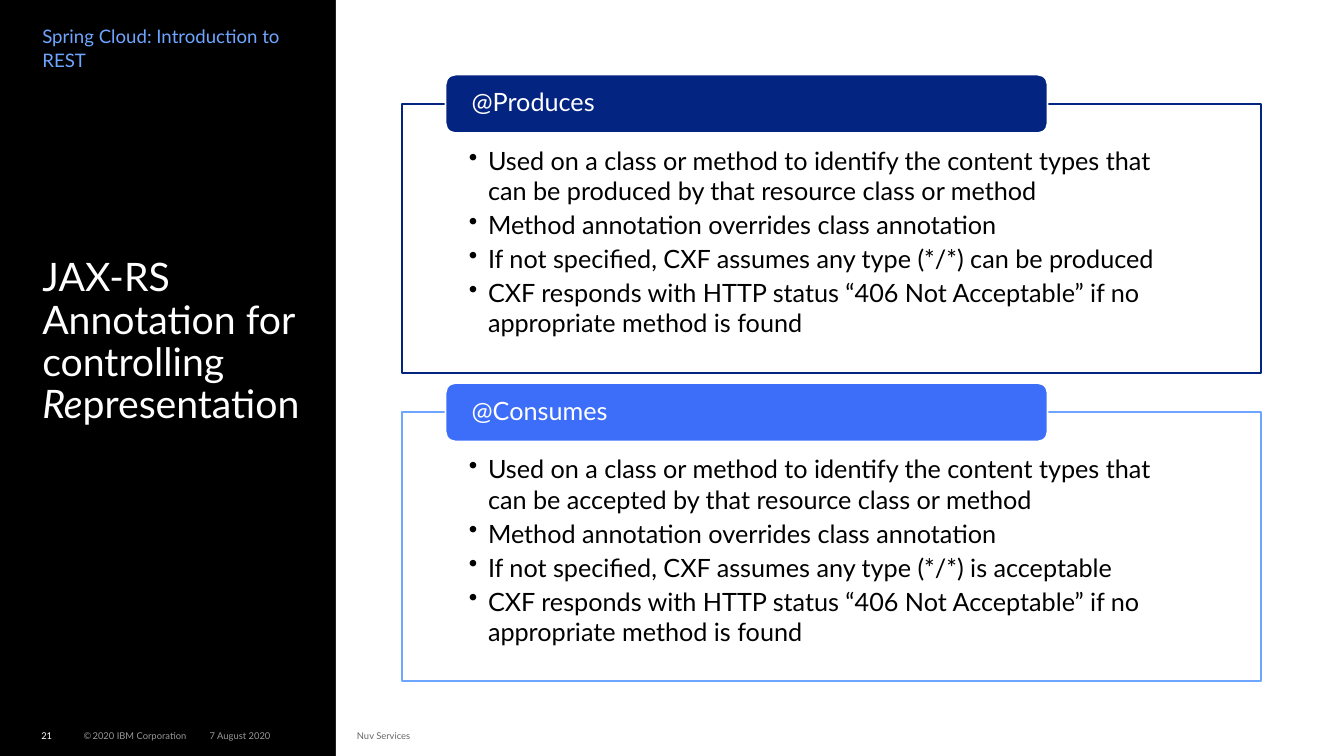
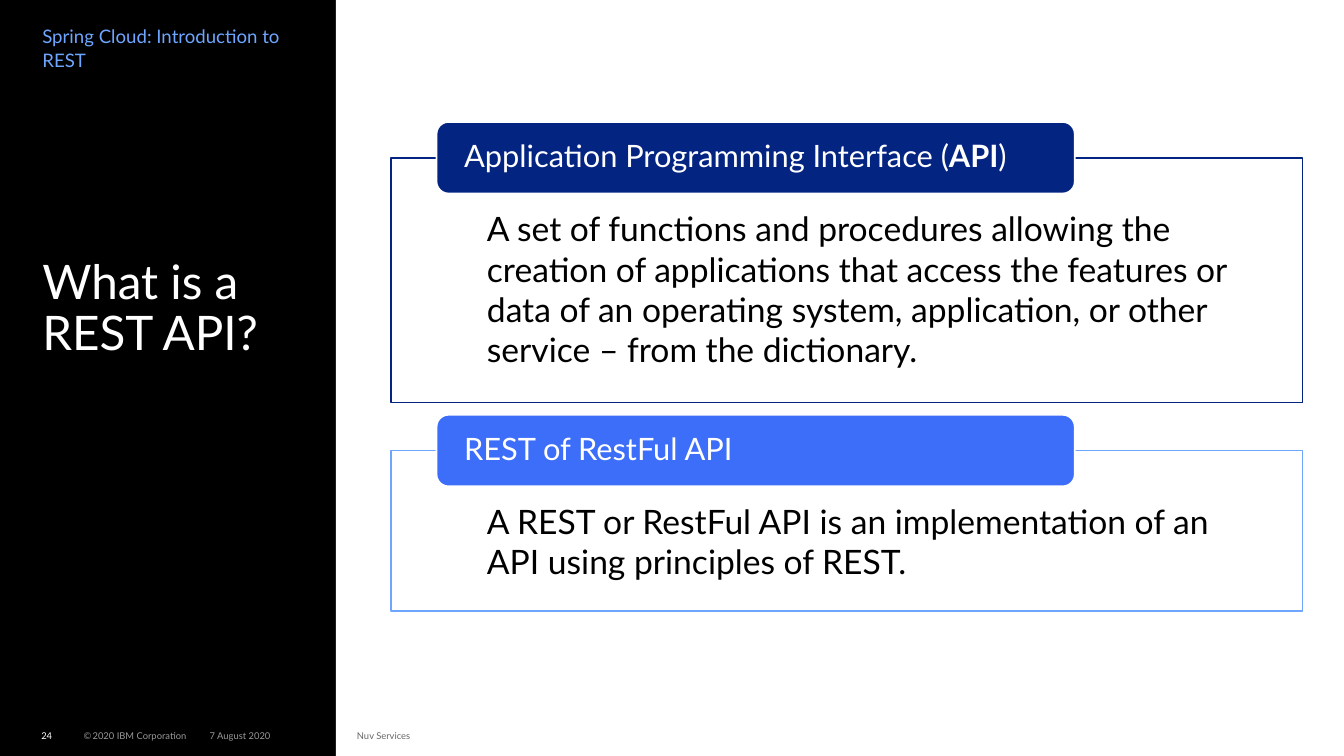
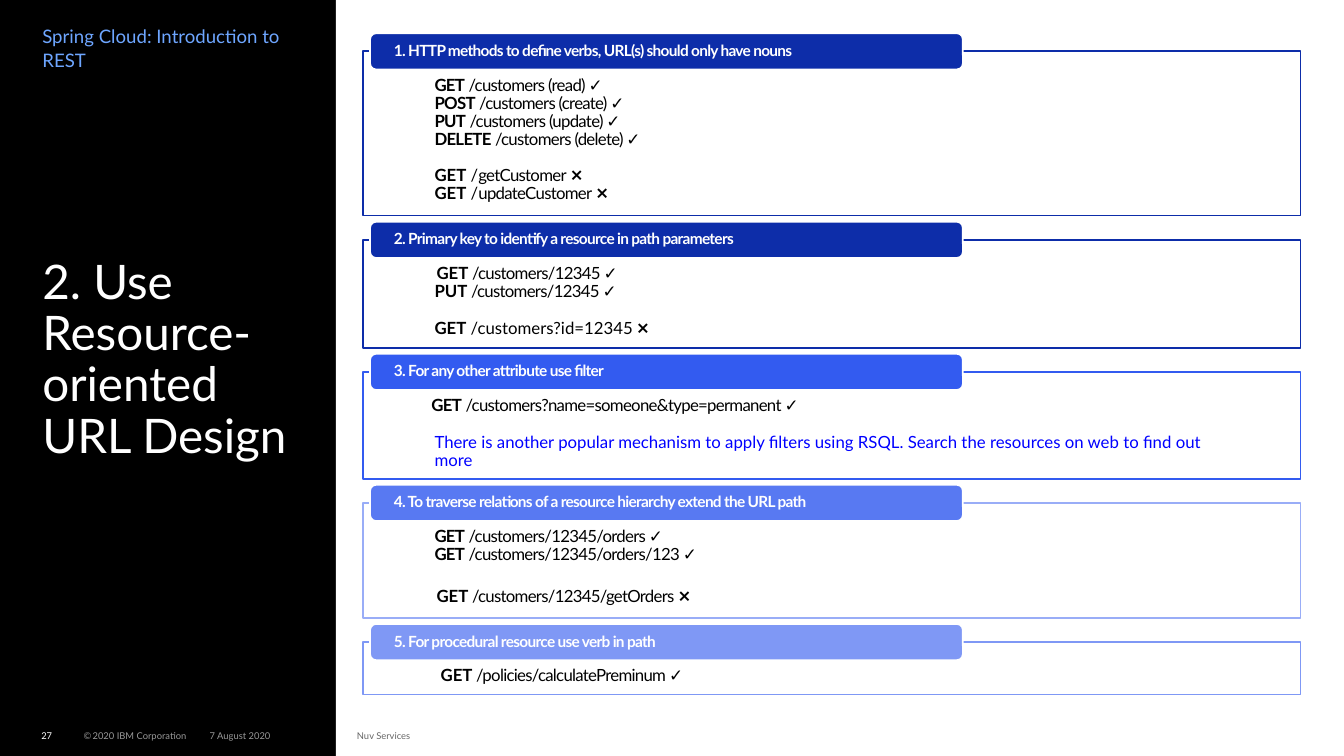
import pptx
import pptx.util
import pptx.dml.color
import pptx.enum.shapes
import pptx.enum.text
import pptx.oxml

Inches, Pt = pptx.util.Inches, pptx.util.Pt
RGB = pptx.dml.color.RGBColor
KINDS = pptx.enum.shapes.MSO_SHAPE
ANCHOR = pptx.enum.text.MSO_ANCHOR
ALIGN = pptx.enum.text.PP_ALIGN

# Shared look
WIDE, HIGH = 13.33, 7.5
SIDE = WIDE / 4
FONT = "Lato"
BLACK, WHITE = RGB(0, 0, 0), RGB(255, 255, 255)
PALE, DIM = RGB(0x99, 0x99, 0x99), RGB(0x66, 0x66, 0x66)
SKY, LINK = RGB(0x6E, 0xA6, 0xFF), RGB(0, 0, 255)
NAVY, BLUE = RGB(0x04, 0x24, 0x82), RGB(0x3D, 0x6E, 0xF9)
DEEP, ROYAL = RGB(0x0D, 0x2D, 0xA9), RGB(0x33, 0x5B, 0xF0)
MID, SOFT = RGB(0x58, 0x79, 0xF2), RGB(0x7F, 0x98, 0xF5)
MIST = RGB(0x99, 0xAD, 0xF7)

TOPIC = "Spring Cloud: Introduction to REST"
# Footer parts: left, width, colour, runs
FEET = [
    (0.83, 1.2, PALE, [("©", 6.7), (" ", 3.3), ("2020 IBM Corporation", 6.7)]),
    (2.08, 1.15, PALE, [("7 August 2020", 6.7)]),
    (3.54, 2.08, DIM, [("Nuv Services", 6.7)]),
]


# Text is lists of runs (text, style); b bold, i italic, t tight, u link blue.
# A line is (runs, indent, space before).
def line(*runs, shift=0.0, gap=0):
    return runs, shift, gap


def plain(*texts):
    return [line((text, "")) for text in texts]


def call(verb, rest, style="t", **place):
    return line((verb, "b" + style), (" " + rest, "t"), **place)


def wrong(name, gap=0):
    return line(("GET", "b"), (" /", ""), (name, "t"), (" ❌", ""), gap=gap)


def rules(verb, end):
    return plain(
        "Used on a class or method to identify the content types that "
        f"can be {verb} by that resource class or method",
        "Method annotation overrides class annotation",
        f"If not specified, CXF assumes any type (*/*) {end}",
        "CXF responds with HTTP status “406 Not Acceptable” if no "
        "appropriate method is found")


# Panels: height, tag fill, border, tag runs, body lines
SLIDES = [
    dict(
        page="21", size=28,
        title=[("JAX-RS Annotation for controlling ", ""), ("Re", "i"),
               ("presentation", "")],
        left=3.99, top=0.74, width=8.52, gap=0.1, inset=(0.66, 0.41),
        tag=dict(shift=0.43, width=5.97, height=0.58, inset=0.23,
                 size=18, style=""),
        body=dict(size=18, indent=0.19, bullet=True, after=2.7),
        panels=[
            (2.67, NAVY, NAVY, [("@Produces", "")],
             rules("produced", "can be produced")),
            (2.67, BLUE, SKY, [("@Consumes", "")],
             rules("accepted", "is acceptable")),
        ]),
    dict(
        page="24", size=34, title=[("What is a REST API?", "")],
        left=3.88, top=1.21, width=9.04, gap=0.12, inset=(0.7, 0.5),
        tag=dict(shift=0.45, width=6.33, height=0.71, inset=0.24,
                 size=22, style=""),
        body=dict(size=24, indent=0.25),
        panels=[
            (2.43, NAVY, NAVY,
             [("Application Programming Interface (", ""), ("API", "b"),
              (")", "")],
             plain("A set of functions and procedures allowing the creation "
                   "of applications that access the features or data of an "
                   "operating system, application, or other service – from "
                   "the dictionary.")),
            (1.59, BLUE, SKY, [("REST of RestFul API", "")],
             plain("A REST or RestFul API is an implementation of an API "
                   "using principles of REST.")),
        ]),
    dict(
        page="27", size=34,
        title=[("2. Use Resource-oriented URL Design", "")],
        left=3.6, top=0.33, width=9.3, gap=0.06, inset=(0.65, 0.25),
        tag=dict(shift=0.07, width=5.88, height=0.36, inset=0.22,
                 size=11, style="bt"),
        body=dict(size=12, indent=0.06, spacing=0.9),
        panels=[
            (1.63, DEEP, DEEP,
             [("1. HTTP methods to define verbs, URL(s) should only have "
               "nouns", "bt")],
             [call("GET", "/customers (read) ✓"),
              call("POST", "/customers (create) ✓"),
              call("PUT", "/customers (update) ✓"),
              call("DELETE", "/customers (delete) ✓"),
              wrong("getCustomer", gap=13), wrong("updateCustomer")]),
            (1.07, DEEP, DEEP,
             [("2. Primary key to identify a resource in path parameters",
               "bt")],
             [call("GET", "/customers/12345 ✓", "", shift=0.02),
              call("PUT", "/customers/12345 ✓", ""),
              line(("GET", "b"), (" /customers?id=12345 ❌", ""), gap=13)]),
            (1.06, ROYAL, ROYAL,
             [("3. For any other attribute use filter", "bt")],
             [call("GET", "/customers?name=someone&type=permanent ✓",
                   shift=-0.03),
              line(("There is another popular mechanism to apply filters "
                    "using RSQL. Search the resources on web to find out "
                    "more", "u"), gap=13)]),
            (1.14, MID, MIST,
             [("4. To traverse relations of a resource hierarchy extend the "
               "URL path", "bt")],
             [call("GET", "/customers/12345/orders ✓"),
              call("GET", "/customers/12345/orders/123 ✓"),
              line(("GET ", "b"), ("/customers/12345/getOrders", "t"),
                   (" ❌", ""), shift=0.02, gap=17)]),
            (0.52, SOFT, SOFT,
             [("5. For procedural resource use verb in path", "bt")],
             [call("GET", "/policies/calculatePreminum ✓", "",
                   shift=0.06)]),
        ]),
]


# Text helpers
def add_run(para, text, size, color, style=""):
    run = para.add_run()
    run.text = text
    font = run.font
    font.name, font.size = FONT, Pt(size)
    font.bold, font.italic = "b" in style, "i" in style
    font.color.rgb = LINK if "u" in style else color
    if "t" in style:
        font._element.set("spc", "-50")


def set_frame(shape, pad=(0, 0, 0, 0), anchor=ANCHOR.TOP):
    frame = shape.text_frame
    frame.word_wrap = True
    frame.vertical_anchor = anchor
    (frame.margin_left, frame.margin_top, frame.margin_right,
     frame.margin_bottom) = map(Inches, pad)
    frame.paragraphs[0].alignment = ALIGN.LEFT
    return frame


def add_text(slide, box, pad=(0, 0, 0, 0), anchor=ANCHOR.TOP):
    shape = slide.shapes.add_textbox(*map(Inches, box))
    return set_frame(shape, pad, anchor).paragraphs[0]


def add_block(slide, kind, box, fill, edge=None):
    shape = slide.shapes.add_shape(kind, *map(Inches, box))
    shape.shadow.inherit = False
    shape.fill.solid()
    shape.fill.fore_color.rgb = fill
    if edge is None:
        shape.line.fill.background()
    else:
        shape.line.color.rgb = edge
        shape.line.width = Pt(1.25)
    return shape


def fill_body(frame, lines, size, indent, bullet=False, after=0, spacing=1.0):
    for num, (runs, shift, gap) in enumerate(lines):
        para = frame.add_paragraph() if num else frame.paragraphs[0]
        props = para._p.get_or_add_pPr()
        props.set("marL", str(Inches(max(indent + shift, 0))))
        if bullet:
            props.set("indent", str(-Inches(indent)))
            mark = pptx.oxml.parse_xml(
                '<a:buChar xmlns:a="http://schemas.openxmlformats.org/'
                'drawingml/2006/main" char="•"/>')
            props.append(mark)
        para.alignment = ALIGN.LEFT
        para.line_spacing = spacing
        para.space_after = Pt(after)
        if gap:
            para.space_before = Pt(gap)
        for text, style in runs:
            add_run(para, text, size, BLACK, style)


# Slide parts
def add_base(slide, data):
    slide.background.fill.solid()
    slide.background.fill.fore_color.rgb = BLACK
    add_block(slide, KINDS.RECTANGLE, (SIDE, 0, WIDE - SIDE, HIGH), WHITE)
    number = (0.41, 0.3, WHITE, [(data["page"], 6.7)])
    for left, width, color, runs in FEET + [number]:
        para = add_text(slide, (left, 7.2, width, 0.2), anchor=ANCHOR.MIDDLE)
        for text, size in runs:
            add_run(para, text, size, color)
    para = add_text(slide, (0.42, 2.31, 2.71, 2.6), (0, 0.25, 0, 0))
    para.line_spacing = 0.9
    for text, style in data["title"]:
        add_run(para, text, data["size"], WHITE, style)
    para = add_text(slide, (0.42, 0.24, 2.71, 0.75))
    para.line_spacing = 1.05
    add_run(para, TOPIC, 13.3, SKY)


def add_panels(slide, data):
    tag, left, top = data["tag"], data["left"], data["top"]
    side, head = data["inset"]
    for height, fill, edge, name, lines in data["panels"]:
        start = top + tag["height"] / 2
        box = add_block(slide, KINDS.RECTANGLE,
                        (left, start, data["width"], height), WHITE, edge)
        fill_body(set_frame(box, (side, head, side, 0.09)), lines,
                  **data["body"])
        label = add_block(slide, KINDS.ROUNDED_RECTANGLE,
                          (left + tag["shift"], top, tag["width"],
                           tag["height"]), fill, WHITE)
        pad = (tag["inset"], 0, tag["inset"], 0)
        para = set_frame(label, pad, ANCHOR.MIDDLE).paragraphs[0]
        para.line_spacing = 0.9
        for text, style in name:
            add_run(para, text, tag["size"], WHITE, style + tag["style"])
        top = start + height + data["gap"]


def main():
    deck = pptx.Presentation()
    deck.slide_width, deck.slide_height = Inches(WIDE), Inches(HIGH)
    for data in SLIDES:
        slide = deck.slides.add_slide(deck.slide_layouts[6])
        add_base(slide, data)
        add_panels(slide, data)
    deck.save("out.pptx")


if __name__ == "__main__":
    main()
